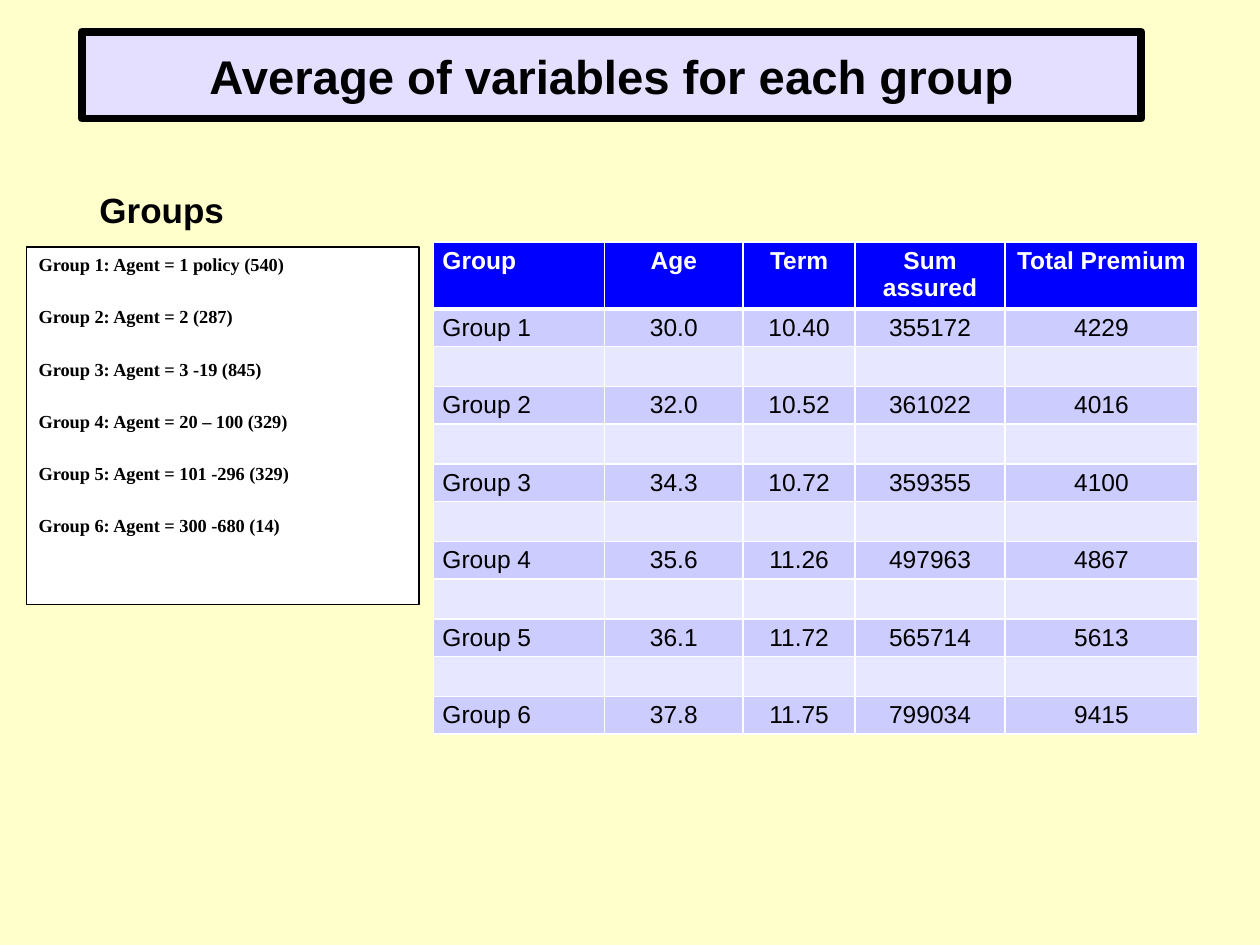
from dataclasses import dataclass

from lxml import etree
from pptx import Presentation
from pptx import util as u
from pptx.dml.color import RGBColor
from pptx.enum import shapes, text
from pptx.oxml.ns import qn

Cm, Pt = u.Cm, u.Pt


@dataclass(frozen=True)
class Theme:
    page: str = "FFFFCC"
    ink: str = "000000"
    white: str = "FFFFFF"
    banner: str = "E4DEFF"
    head: str = "0000FF"
    band: str = "CCCCFF"
    pale: str = "E7E7FF"
    sans: str = "Arial"
    serif: str = "Times New Roman"
    big: float = 27
    title: float = 20
    cell: float = 14
    note: float = 10.5


@dataclass(frozen=True)
class Box:
    """Left, top, width and height in centimetres."""
    x: float
    y: float
    w: float
    h: float

    def size(self) -> tuple:
        return Cm(self.x), Cm(self.y), Cm(self.w), Cm(self.h)


@dataclass(frozen=True)
class Panel:
    box: Box
    fill: str
    line: float


T = Theme()
TITLE = Box(1.75, 3.02, 8.2, 1.75)
NOTES = Panel(Box(0.53, 4.98, 7.92, 7.21), T.white, 0.75)
BANNER = Panel(Box(1.65, 0.64, 21.36, 1.75), T.banner, 4.5)
GRID = Box(8.74, 4.88, 15.42, 9.73)
COLS = (3.45, 2.79, 2.26, 3.02, 3.89)
HEAD_H, ROW_H = 1.35, 0.76

GROUPS = (
    "Group 1: Agent = 1 policy (540)",
    "Group 2: Agent = 2 (287)",
    "Group 3: Agent = 3 -19 (845)",
    "Group 4: Agent = 20 – 100 (329)",
    "Group 5: Agent = 101 -296 (329)",
    "Group 6: Agent = 300 -680 (14)",
)
HEAD = ("Group", "Age", "Term", "Sum assured", "Total Premium")
DATA = (
    ("Group 1", "30.0", "10.40", "355172", "4229"),
    ("Group 2", "32.0", "10.52", "361022", "4016"),
    ("Group 3", "34.3", "10.72", "359355", "4100"),
    ("Group 4", "35.6", "11.26", "497963", "4867"),
    ("Group 5", "36.1", "11.72", "565714", "5613"),
    ("Group 6", "37.8", "11.75", "799034", "9415"),
)


def write(frame, *lines: str, size: float, face: str = T.sans, color: str = T.ink,
          bold: bool = True, align=text.PP_ALIGN.LEFT,
          anchor=text.MSO_ANCHOR.TOP, gap: float = 0) -> None:
    """Fill a text frame, one paragraph a line, with gap points between them."""
    frame.word_wrap = True
    frame.auto_size = text.MSO_AUTO_SIZE.NONE
    frame.vertical_anchor = anchor
    for i, line in enumerate(lines):
        para = frame.add_paragraph() if i else frame.paragraphs[0]
        para.alignment = align
        if i:
            para.space_before = Pt(gap)
        run = para.add_run()
        run.text = line
        font = run.font
        font.size, font.name, font.bold = Pt(size), face, bold
        font.color.rgb = RGBColor.from_string(color)


def draw_panel(slide, panel: Panel):
    shape = slide.shapes.add_shape(shapes.MSO_SHAPE.RECTANGLE, *panel.box.size())
    shape.shadow.inherit = False
    shape.fill.solid()
    shape.fill.fore_color.rgb = RGBColor.from_string(panel.fill)
    shape.line.color.rgb = RGBColor.from_string(T.ink)
    shape.line.width = Pt(panel.line)
    return shape.text_frame


def edge(cell, top: float, base: float) -> None:
    """Give a cell white borders; top and base are widths in points."""
    props = cell._tc.get_or_add_tcPr()
    for i, (side, width) in enumerate(zip("LRTB", (1, 1, top, base))):
        line = etree.Element(qn(f"a:ln{side}"), w=str(Pt(width)))
        fill = etree.SubElement(line, qn("a:solidFill"))
        etree.SubElement(fill, qn("a:srgbClr"), val=T.white)
        props.insert(i, line)


def draw_cell(cell, label: str, row: int, col: int) -> None:
    cell.margin_left = cell.margin_right = Cm(0.18)
    cell.margin_top = cell.margin_bottom = Cm(0.1)
    tone = T.head if row == 0 else T.band if row % 2 else T.pale
    cell.fill.solid()
    cell.fill.fore_color.rgb = RGBColor.from_string(tone)
    edge(cell, top=3 if row == 1 else 1, base=3 if row == 0 else 1)
    if label:
        write(cell.text_frame, label, size=T.cell, bold=row == 0,
              color=T.ink if row else T.white,
              align=text.PP_ALIGN.CENTER if col else text.PP_ALIGN.LEFT)
    else:  # the end mark keeps an empty row low
        para = cell.text_frame.paragraphs[0]._p
        etree.SubElement(para, qn("a:endParaRPr"), sz=str(int(T.cell * 100)))


def draw_table(slide) -> None:
    rows = [HEAD]
    for i, group in enumerate(DATA):
        if i:
            rows.append(("",) * len(COLS))
        rows.append(group)
    table = slide.shapes.add_table(len(rows), len(COLS), *GRID.size()).table
    table.horz_banding = False
    for col, width in zip(table.columns, COLS):
        col.width = Cm(width)
    for r, labels in enumerate(rows):
        table.rows[r].height = Cm(ROW_H if r else HEAD_H)
        for c, label in enumerate(labels):
            draw_cell(table.cell(r, c), label, r, c)


def main() -> None:
    deck = Presentation()
    deck.slide_width, deck.slide_height = Cm(25.4), Cm(19.05)
    slide = deck.slides.add_slide(deck.slide_layouts[5])
    slide.background.fill.solid()
    slide.background.fill.fore_color.rgb = RGBColor.from_string(T.page)

    title = slide.shapes.title
    title.left, title.top, title.width, title.height = TITLE.size()
    write(title.text_frame, "Groups", size=T.title, anchor=text.MSO_ANCHOR.BOTTOM)
    draw_table(slide)
    write(draw_panel(slide, NOTES), *GROUPS, size=T.note, face=T.serif, gap=17.3)
    write(draw_panel(slide, BANNER), "Average of variables for each group", size=T.big,
          align=text.PP_ALIGN.CENTER, anchor=text.MSO_ANCHOR.MIDDLE)
    deck.save("out.pptx")


if __name__ == "__main__":
    main()
